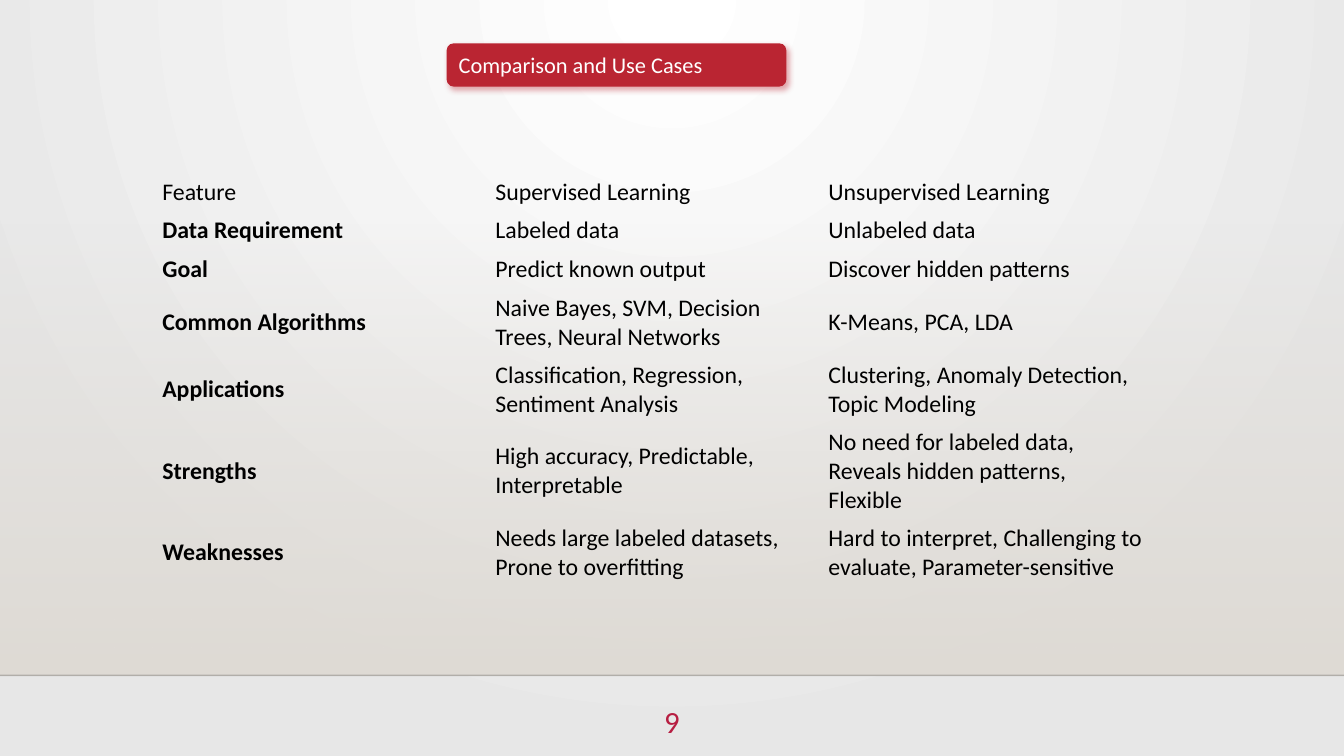
from lxml import etree
from pptx import Presentation
from pptx.dml.color import RGBColor
from pptx.enum import shapes, text
from pptx.oxml import parse_xml
from pptx.oxml.ns import nsdecls, qn
from pptx.util import Inches, Pt


def paint(fill, *colors):
    """One colour gives a solid fill, two give a gradient."""
    if len(colors) == 1:
        fill.solid()
        fill.fore_color.rgb = RGBColor.from_string(colors[0])
        return
    fill.gradient()
    for stop, color in zip(fill.gradient_stops, colors):
        stop.color.rgb = RGBColor.from_string(color)


def write(frame, words, size=17, color="000000", bold=False, align=text.PP_ALIGN.LEFT):
    frame.word_wrap = True
    frame.vertical_anchor = text.MSO_ANCHOR.MIDDLE
    paragraph = frame.paragraphs[0]
    paragraph.alignment = align
    run = paragraph.add_run()
    run.text = words
    run.font.name = "Calibri"
    run.font.size = Pt(size)
    run.font.bold = bold
    paint(run.font.fill, color)


presentation = Presentation()
presentation.slide_width = Inches(13.33)
presentation.slide_height = Inches(7.5)
slide = presentation.slides.add_slide(presentation.slide_layouts[6])

# Background: radial glow from the top centre
paint(slide.background.fill, "FFFFFF", "E7E7E7")
linear = next(slide.element.iter(qn("a:lin")))
linear.getparent().replace(linear, parse_xml(
    f'<a:path {nsdecls("a")} path="circle">'
    '<a:fillToRect l="43000" t="0" r="43000" b="100000"/></a:path>'))

# Beige fade, clear at the top
fade = slide.shapes.add_shape(
    shapes.MSO_SHAPE.RECTANGLE, Inches(0), Inches(2.21), Inches(13.33), Inches(4.49))
fade.shadow.inherit = False
fade.line.fill.background()
paint(fade.fill, "DFDBD5", "DFDBD5")
fade.fill.gradient_angle = 270
first_color = next(fade.element.spPr.iter(qn("a:srgbClr")))
etree.SubElement(first_color, qn("a:alpha"), val="0")

# Footer rule
rule = slide.shapes.add_connector(
    shapes.MSO_CONNECTOR.STRAIGHT, Inches(0), Inches(6.7), Inches(13.33), Inches(6.7))
rule.line.width = Pt(1)
paint(rule.line.fill, "000001")
rule_color = next(rule.element.spPr.iter(qn("a:srgbClr")))
etree.SubElement(rule_color, qn("a:alpha"), val="20000")
etree.SubElement(rule.element.spPr, qn("a:effectLst"))

# Slide number
number = slide.shapes.add_textbox(Inches(6.22), Inches(6.88), Inches(0.89), Inches(0.55))
write(number.text_frame, "9", size=22, color="B71E42", align=text.PP_ALIGN.CENTER)

# Comparison table
comparison = [
    ("Feature", "Supervised Learning", "Unsupervised Learning"),
    ("Data Requirement", "Labeled data", "Unlabeled data"),
    ("Goal", "Predict known output", "Discover hidden patterns"),
    ("Common Algorithms", "Naive Bayes, SVM, Decision Trees, Neural Networks",
     "K-Means, PCA, LDA"),
    ("Applications", "Classification, Regression, Sentiment Analysis",
     "Clustering, Anomaly Detection, Topic Modeling"),
    ("Strengths", "High accuracy, Predictable, Interpretable",
     "No need for labeled data, Reveals hidden patterns, Flexible"),
    ("Weaknesses", "Needs large labeled datasets, Prone to overfitting",
     "Hard to interpret, Challenging to evaluate, Parameter-sensitive"),
]
table_frame = slide.shapes.add_table(
    len(comparison), 3, Inches(1.52), Inches(1.71), Inches(9.91), Inches(3.78))
table = table_frame.table
table.first_row = table.horz_banding = False
# "No Style, No Grid" leaves out the default borders
style = next(table_frame.element.iter(qn("a:tableStyleId")))
style.text = "{2D5ABB26-0587-4C30-8999-92F81FD0307C}"
for row, entries in enumerate(comparison):
    table.rows[row].height = Inches(0.38 if row < 3 else 0.66)
    for column, entry in enumerate(entries):
        cell = table.cell(row, column)
        cell.fill.background()
        cell.vertical_anchor = text.MSO_ANCHOR.MIDDLE
        cell.margin_left = cell.margin_right = Inches(0.09)
        cell.margin_top = cell.margin_bottom = Inches(0.05)
        write(cell.text_frame, entry, bold=row > 0 and column == 0)

# Title pill with a soft red shadow
title = slide.shapes.add_shape(
    shapes.MSO_SHAPE.ROUNDED_RECTANGLE, Inches(4.43), Inches(0.43), Inches(3.37), Inches(0.43))
title.shadow.inherit = False
title.line.fill.background()
paint(title.fill, "BA2532")
write(title.text_frame, "Comparison and Use Cases", size=16, color="FFFFFF")
title.element.spPr.find(qn("a:effectLst")).append(parse_xml(
    f'<a:outerShdw {nsdecls("a")} blurRad="{Pt(4)}" dist="{Pt(3)}" dir="2700000" algn="tl" '
    'rotWithShape="0"><a:srgbClr val="BA2532"><a:alpha val="40000"/></a:srgbClr></a:outerShdw>'))

presentation.save("out.pptx")
